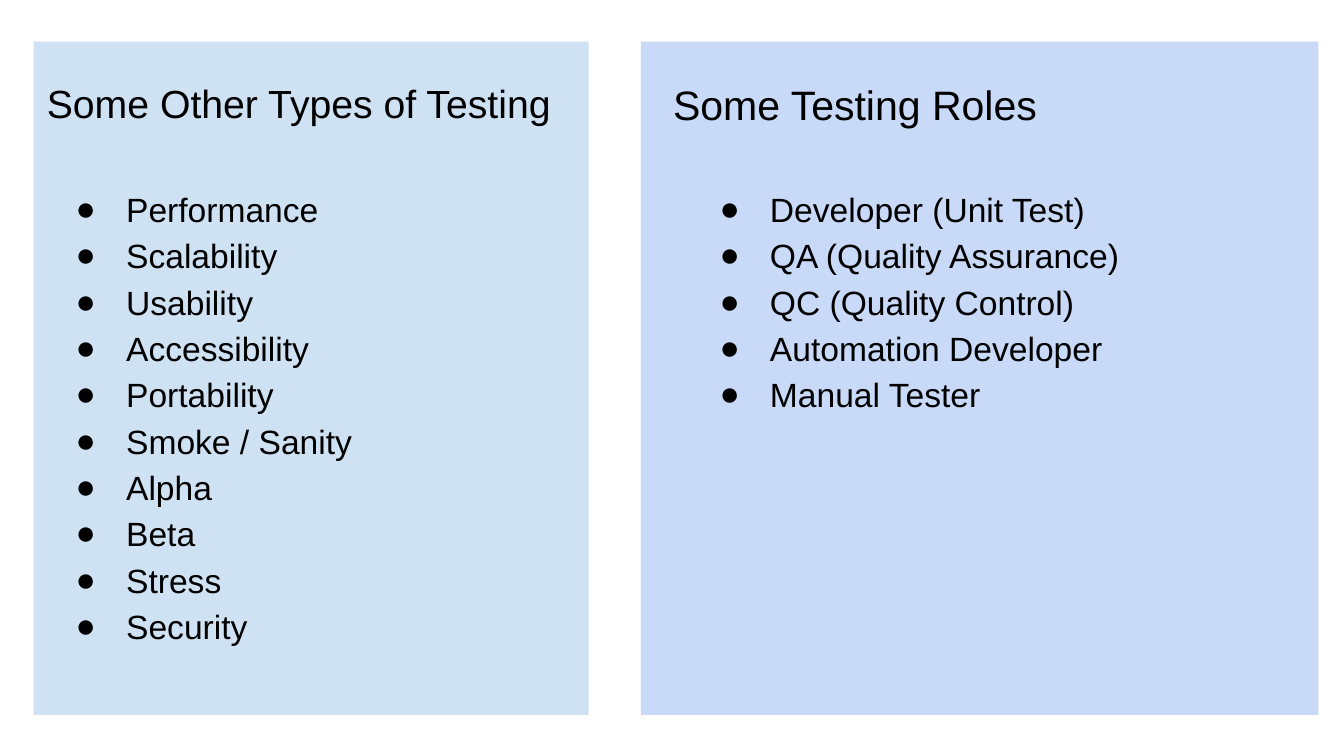
from lxml.etree import SubElement
from pptx import Presentation
from pptx.dml.color import RGBColor
from pptx.enum.shapes import MSO_SHAPE
from pptx.enum.text import MSO_ANCHOR
from pptx.oxml.ns import qn
from pptx.util import Pt

BLACK = RGBColor(0x00, 0x00, 0x00)
PALE_BLUE = RGBColor(0xCF, 0xE2, 0xF3)
PERIWINKLE = RGBColor(0xC9, 0xDA, 0xF8)

# Horizontal places and widths in points
PANELS = [
    {
        "heading": "Some Other Types of Testing",
        "items": ["Performance", "Scalability", "Usability", "Accessibility",
                  "Portability", "Smoke / Sanity", "Alpha", "Beta", "Stress",
                  "Security"],
        "fill": PALE_BLUE, "left": 18, "width": 297.4,
        "heading_left": 18, "heading_size": 21, "list_left": 24.5,
    },
    {
        "heading": "Some Testing Roles",
        "items": ["Developer (Unit Test)", "QA (Quality Assurance)",
                  "QC (Quality Control)", "Automation Developer",
                  "Manual Tester"],
        "fill": PERIWINKLE, "left": 343.4, "width": 362.9,
        "heading_left": 353.5, "heading_size": 22, "list_left": 369.4,
    },
]
PANEL_TOP, PANEL_HEIGHT = 22.3, 360.7
HEADING_TOP, HEADING_WIDTH, HEADING_HEIGHT = 35.3, 325.4, 45.4
LIST_TOP, LIST_WIDTH, LIST_HEIGHT = 90.7, 258.5, 269.3
LIST_SIZE, LIST_SPACING = 18, 1.15
INDENT, HANGING = 36, 27
FRAME_FORMAT = {
    "word_wrap": True, "vertical_anchor": MSO_ANCHOR.TOP,
    "margin_left": Pt(7.2), "margin_right": Pt(7.2),
    "margin_top": Pt(7.2), "margin_bottom": Pt(7.2),
}


def add_text_frame(slide, left, top, width, height):
    frame = slide.shapes.add_textbox(
        Pt(left), Pt(top), Pt(width), Pt(height)).text_frame
    for attribute, value in FRAME_FORMAT.items():
        setattr(frame, attribute, value)
    return frame


def write(paragraph, text, size):
    run = paragraph.add_run()
    run.text = text
    run.font.name = "Arial"
    run.font.size = Pt(size)
    run.font.color.rgb = BLACK


def add_bullet(paragraph):
    properties = paragraph._p.get_or_add_pPr()
    properties.set("marL", str(Pt(INDENT)))
    properties.set("indent", str(-Pt(HANGING)))
    color = SubElement(properties, qn("a:buClr"))
    SubElement(color, qn("a:srgbClr"), val=str(BLACK))
    SubElement(properties, qn("a:buFont"), typeface="Arial")
    SubElement(properties, qn("a:buChar"), char="●")


def add_panel(slide, panel):
    background = slide.shapes.add_shape(
        MSO_SHAPE.RECTANGLE, Pt(panel["left"]), Pt(PANEL_TOP),
        Pt(panel["width"]), Pt(PANEL_HEIGHT))
    background.shadow.inherit = False
    background.fill.solid()
    background.fill.fore_color.rgb = panel["fill"]
    background.line.fill.background()

    heading = add_text_frame(slide, panel["heading_left"], HEADING_TOP,
                             HEADING_WIDTH, HEADING_HEIGHT)
    write(heading.paragraphs[0], panel["heading"], panel["heading_size"])

    bullets = add_text_frame(slide, panel["list_left"], LIST_TOP,
                             LIST_WIDTH, LIST_HEIGHT)
    for index, item in enumerate(panel["items"]):
        paragraph = bullets.add_paragraph() if index else bullets.paragraphs[0]
        add_bullet(paragraph)
        paragraph.line_spacing = LIST_SPACING
        write(paragraph, item, LIST_SIZE)


def main():
    deck = Presentation()
    deck.slide_width, deck.slide_height = Pt(720), Pt(405)
    slide = deck.slides.add_slide(deck.slide_layouts[6])
    for panel in PANELS:
        add_panel(slide, panel)
    deck.save("out.pptx")


if __name__ == "__main__":
    main()
